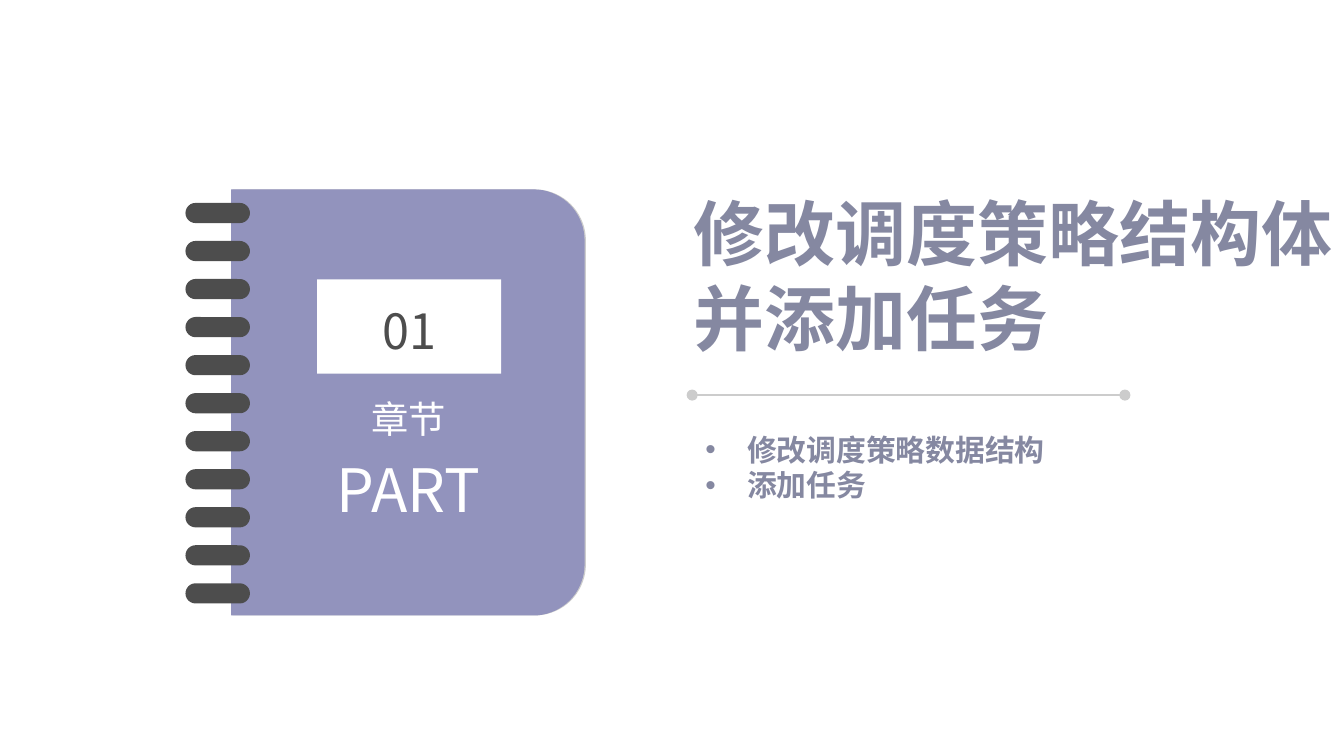
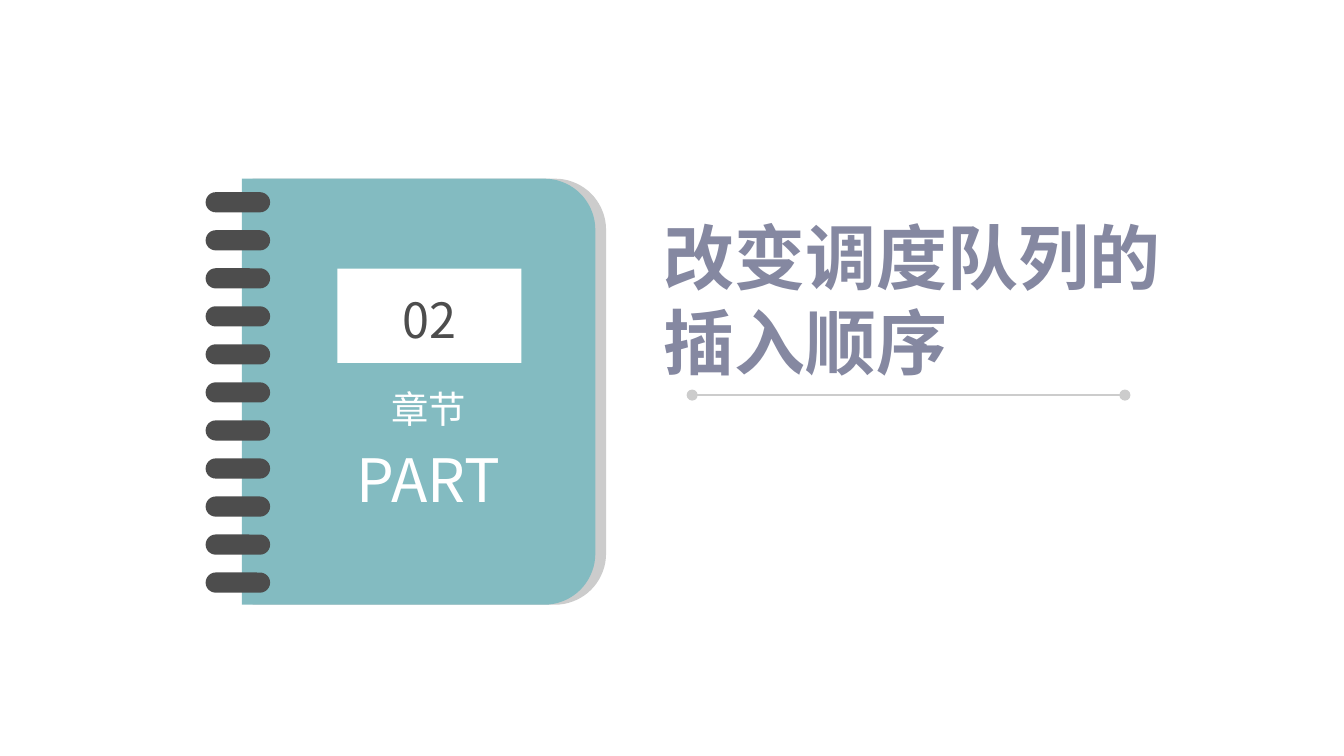
"""Build two notebook-style chapter divider slides."""
from math import cos, radians, sin

from lxml.etree import SubElement
from pptx import Presentation
from pptx.dml.color import RGBColor
from pptx.enum.shapes import MSO_CONNECTOR, MSO_SHAPE
from pptx.enum.text import MSO_AUTO_SIZE, PP_ALIGN
from pptx.oxml.ns import qn
from pptx.util import Inches, Pt

FACE = "Noto Sans CJK SC"
WHITE, GREY, DARK, TITLE = "FFFFFF", "CCCCCC", "4D4D4D", "8588A1"
WIDE, TALL, CURVE = 2.63, 3.17, 0.38
RINGS = 11
PARTS = [
    {"num": "01", "color": "9293BD", "left": 1.73, "top": 1.41, "front": 1.72,
     "title": "修改调度策略结构体并添加任务", "box": (5.16, 1.41, 4.79, 1.28),
     "points": ["修改调度策略数据结构", "添加任务"]},
    {"num": "02", "color": "83BBC1", "left": 1.88, "top": 1.33, "front": 1.8,
     "title": "改变调度队列的插入顺序", "box": (4.94, 1.59, 3.87, 1.28),
     "points": []},
]


def paint(shape, color):
    shape.shadow.inherit = False
    shape.fill.solid()
    shape.fill.fore_color.rgb = RGBColor.from_string(color)
    shape.line.fill.background()


def write(shapes, box, lines, color, face=FACE, bold=False, center=False, bullet=False):
    frame = shapes.add_textbox(*map(Inches, box)).text_frame
    frame.word_wrap = True
    frame.auto_size = MSO_AUTO_SIZE.SHAPE_TO_FIT_TEXT
    if not bullet:
        frame.margin_left = frame.margin_right = frame.margin_top = frame.margin_bottom = 0
    for i, (text, size) in enumerate(lines):
        para = frame.add_paragraph() if i else frame.paragraphs[0]
        para.text = text
        props = para._p.get_or_add_pPr()
        if center:
            para.alignment = PP_ALIGN.CENTER
            para.space_before = Pt(size * 0.2)
        if bullet:
            props.set("marL", str(Inches(0.31)))
            props.set("indent", str(-Inches(0.31)))
            SubElement(props, qn("a:buFont"), typeface="Arial")
            SubElement(props, qn("a:buChar"), char="•")
        font = para.font
        font.size, font.bold, font.name = Pt(size), bold, face
        font.color.rgb = RGBColor.from_string(color)
        SubElement(props.find(qn("a:defRPr")), qn("a:ea"), typeface=FACE)


deck = Presentation()
deck.slide_width, deck.slide_height = Inches(10), Inches(10 * 9 / 16)

for part in PARTS:
    slide = deck.slides.add_slide(deck.slide_layouts[6])
    left, top = part["left"], part["top"]

    rule = slide.shapes.add_connector(
        MSO_CONNECTOR.STRAIGHT, Inches(5.15), Inches(2.94), Inches(8.37), Inches(2.94))
    rule.line.color.rgb = RGBColor.from_string(GREY)
    rule.line.width = Pt(1)
    for end in ("a:headEnd", "a:tailEnd"):
        SubElement(rule.line._get_or_add_ln(), qn(end), type="oval")
    SubElement(rule._element.spPr, qn("a:effectLst"))

    write(slide.shapes, part["box"], [(part["title"], 38)], TITLE, bold=True)

    book = slide.shapes.add_group_shape().shapes
    for edge, color in ((left, GREY), (part["front"], part["color"])):
        bend = edge + WIDE - CURVE
        dots = []
        for mid, start in ((top + CURVE, -90), (top + TALL - CURVE, 0)):
            for turn in range(start, start + 91, 5):
                angle = radians(turn)
                dots.append((Inches(bend + CURVE * cos(angle)),
                             Inches(mid + CURVE * sin(angle))))
        dots.append((Inches(edge), Inches(top + TALL)))
        cover = book.build_freeform(Inches(edge), Inches(top))
        cover.add_line_segments(dots, close=True)
        paint(cover.convert_to_shape(), color)

    label = book.add_shape(MSO_SHAPE.RECTANGLE, Inches(left + 0.63), Inches(top + 0.67),
                           Inches(1.37), Inches(0.7))
    paint(label, WHITE)
    for i in range(RINGS):
        ring = book.add_shape(MSO_SHAPE.ROUNDED_RECTANGLE, Inches(left - 0.35),
                              Inches(top + 0.1 + 2.83 * i / (RINGS - 1)),
                              Inches(0.48), Inches(0.15))
        ring.adjustments[0] = 0.5
        paint(ring, DARK)

    write(book, (left + 0.67, top + 0.83, 1.29, 0.44), [(part["num"], 26)], DARK, center=True)
    write(book, (left + 0.77, top + 1.54, 1.08, 0.98), [("章节", 20), ("PART", 32)],
          WHITE, center=True)

    if part["points"]:
        write(slide.shapes, (5.15, 3.16, 3.22, 0.91), [(text, 16) for text in part["points"]],
              TITLE, face="Calibri", bold=True, bullet=True)

deck.save("out.pptx")
